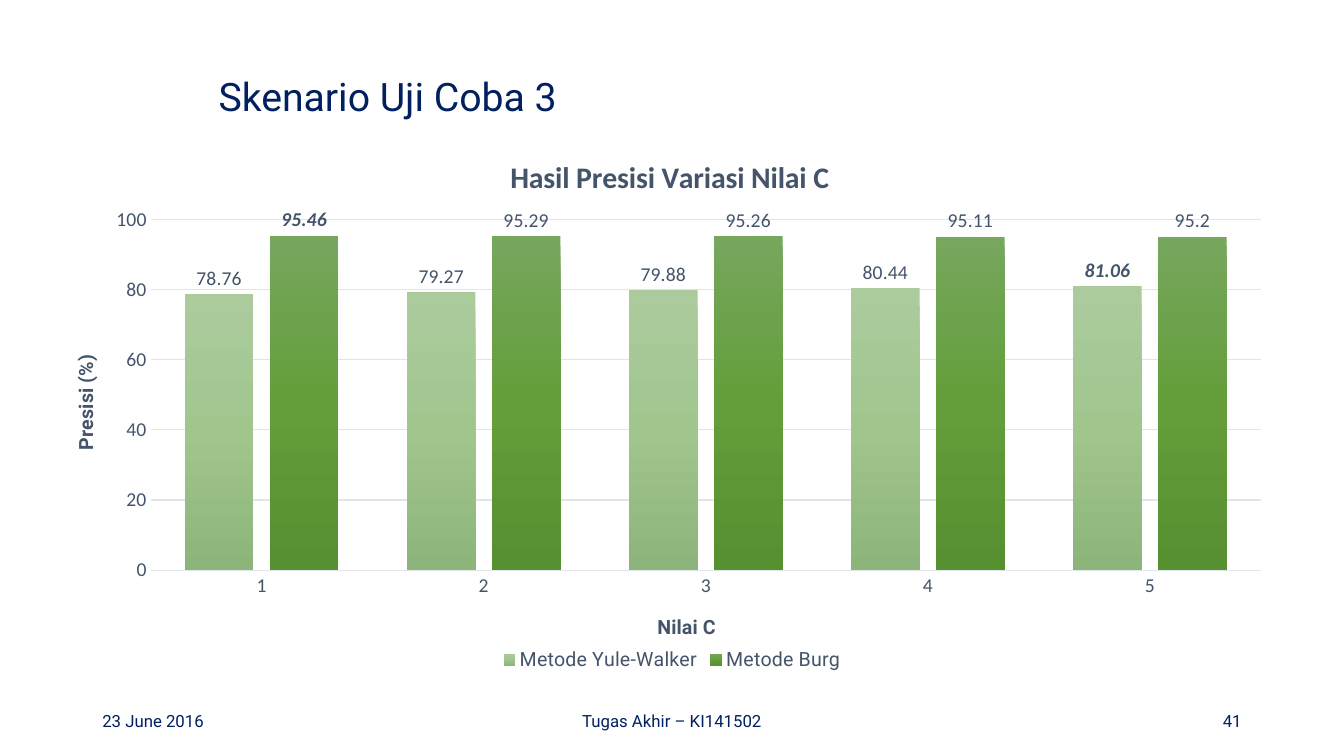
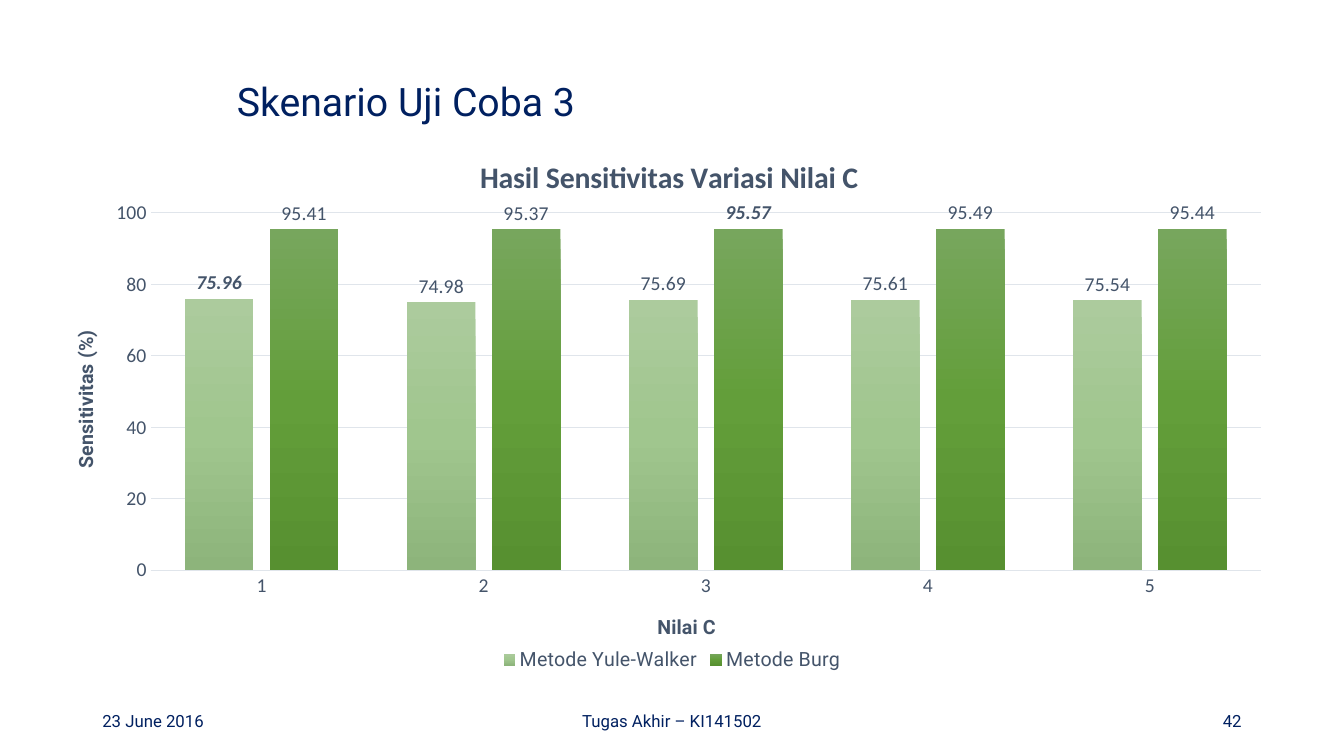
"""Build two slides comparing methods over values of C."""
from dataclasses import dataclass

import lxml.etree
import pptx
import pptx.chart.data
import pptx.dml.color
import pptx.enum.chart
import pptx.enum.text
import pptx.oxml
import pptx.oxml.ns
import pptx.util

Pt = pptx.util.Pt
RGBColor = pptx.dml.color.RGBColor
Align = pptx.enum.text.PP_ALIGN
qn = pptx.oxml.ns.qn

NAVY = RGBColor(0x00, 0x20, 0x60)
SLATE = RGBColor(0x44, 0x54, 0x6A)
GRID = RGBColor(0xE0, 0xE5, 0xEB)
BLACK = RGBColor(0x00, 0x00, 0x00)
WHITE = RGBColor(0xFF, 0xFF, 0xFF)
PALE_GREENS = (RGBColor(0xAC, 0xCB, 0x9D), RGBColor(0xA0, 0xC6, 0x8E), RGBColor(0x8D, 0xB4, 0x7B))
DEEP_GREENS = (RGBColor(0x77, 0xA6, 0x5D), RGBColor(0x63, 0x9E, 0x3A), RGBColor(0x57, 0x90, 0x30))
HEADING = {"name": "Roboto", "size": Pt(28), "color": NAVY}
FOOTER = {"name": "Roboto", "size": Pt(12), "color": NAVY}
CHART_TITLE = {"name": "Calibri", "size": Pt(21.28), "bold": True, "color": SLATE}
LABEL = {"name": "Calibri", "size": Pt(14), "color": SLATE}
BEST_LABEL = LABEL | {"bold": True, "italic": True}
LEGEND = LABEL | {"name": "Roboto"}
AXIS_TITLE = LEGEND | {"bold": True}


@dataclass(frozen=True)
class Method:
    """A measured method and the index of its best value."""

    name: str
    values: tuple[float, ...]
    best: int
    greens: tuple[RGBColor, ...]


@dataclass(frozen=True)
class Result:
    """One slide; chart positions are percentages of the chart."""

    number: int
    heading_at: tuple[float, float]
    measure: str
    title_at: tuple[float, ...]
    measure_at: tuple[float, ...]
    plot_area: tuple[float, ...]
    methods: tuple[Method, ...]


RESULTS = (
    Result(41, (149, 37), "Presisi", (36.2, 3.1), (0.1, 40), (6.9, 15.8, 91.8, 64.7), (
        Method("Metode Yule-Walker", (78.76, 79.27, 79.88, 80.44, 81.06), 4, PALE_GREENS),
        Method("Metode Burg", (95.46, 95.29, 95.26, 95.11, 95.2), 0, DEEP_GREENS),
    )),
    Result(42, (162, 41), "Sensitivitas", (33.7, 3.1), (0.1, 35.5), (6.9, 14.5, 91.8, 66), (
        Method("Metode Yule-Walker", (75.96, 74.98, 75.69, 75.61, 75.54), 0, PALE_GREENS),
        Method("Metode Burg", (95.41, 95.37, 95.57, 95.49, 95.44), 2, DEEP_GREENS),
    )),
)


def set_font(font, style: dict) -> None:
    """Apply a dict of format values to a font."""
    for attribute, value in style.items():
        if attribute == "color":
            font.color.rgb = value
        else:
            setattr(font, attribute, value)


def write(frame, text: str, style: dict, align=Align.LEFT):
    """Write one middle-anchored paragraph and return it."""
    frame.word_wrap = True
    frame.vertical_anchor = pptx.enum.text.MSO_ANCHOR.MIDDLE
    paragraph = frame.paragraphs[0]
    paragraph.alignment = align
    run = paragraph.add_run()
    run.text = text
    set_font(run.font, style)
    return paragraph


def set_layout(element, index: int, box: tuple[float, ...]) -> None:
    """Place a chart part by percentages of the chart."""
    for old in element.findall(qn("c:layout")):
        element.remove(old)
    layout = lxml.etree.Element(qn("c:layout"))
    manual = lxml.etree.SubElement(layout, qn("c:manualLayout"))
    entries = [("xMode", "edge"), ("yMode", "edge")]
    entries += [(key, f"{share / 100:.3f}") for key, share in zip("xywh", box)]
    if len(box) == 4:
        entries.insert(0, ("layoutTarget", "inner"))
    for key, value in entries:
        lxml.etree.SubElement(manual, qn(f"c:{key}")).set("val", value)
    element.insert(index, layout)


def set_title(title, text: str, style: dict, at: tuple[float, ...]) -> None:
    """Write and place a chart or axis title."""
    run = title.text_frame.paragraphs[0].add_run()
    run.text = text
    set_font(run.font, style)
    set_layout(title._element, 1, at)


def set_gradient(series, colors: tuple[RGBColor, ...]) -> None:
    """Fill columns with an evenly stepped vertical gradient."""
    step = 100000 // (len(colors) - 1)
    stops = "".join(
        f'<a:gs pos="{place * step}"><a:srgbClr val="{color}"/></a:gs>'
        for place, color in enumerate(colors)
    )
    series._element.get_or_add_spPr().append(pptx.oxml.parse_xml(
        f'<a:gradFill {pptx.oxml.ns.nsdecls("a")}><a:gsLst>{stops}</a:gsLst>'
        '<a:lin ang="5400000" scaled="0"/></a:gradFill>'
    ))


def style_series(series, method: Method) -> None:
    """Colour one method and emphasise its best value."""
    set_gradient(series, method.greens)
    outside = pptx.enum.chart.XL_LABEL_POSITION.OUTSIDE_END
    labels = series.data_labels
    labels.show_value = True
    labels.position = outside
    set_font(labels.font, LABEL)
    best = series.points[method.best].data_label
    set_font(best.font, BEST_LABEL)
    best.position = outside


def style_axes(chart, result: Result) -> None:
    """Format both axes, their titles and the gridlines."""
    titles = (
        (chart.category_axis, "Nilai C", (48.5, 87.8)),
        (chart.value_axis, f"{result.measure} (%)", result.measure_at),
    )
    for axis, text, at in titles:
        axis.major_tick_mark = axis.minor_tick_mark = pptx.enum.chart.XL_TICK_MARK.NONE
        set_font(axis.tick_labels.font, LABEL)
        set_title(axis.axis_title, text, AXIS_TITLE, at)
    scale = {"minimum_scale": 0, "maximum_scale": 100, "major_unit": 20, "has_major_gridlines": True}
    for attribute, value in scale.items():
        setattr(chart.value_axis, attribute, value)
    chart.value_axis.format.line.fill.background()
    for part in (chart.category_axis, chart.value_axis.major_gridlines):
        part.format.line.color.rgb = GRID
        part.format.line.width = Pt(0.75)


def add_result_chart(slide, result: Result) -> None:
    """Draw the column chart of a result."""
    data = pptx.chart.data.CategoryChartData()
    data.categories = [str(c) for c in range(1, 6)]
    for method in result.methods:
        data.add_series(method.name, method.values)
    chart = slide.shapes.add_chart(
        pptx.enum.chart.XL_CHART_TYPE.COLUMN_CLUSTERED,
        Pt(48), Pt(96), Pt(864), Pt(386.64), data,
    ).chart
    set_font(chart.font, {"name": "Calibri", "size": Pt(10), "color": BLACK})
    chart.has_title = True
    set_title(chart.chart_title, f"Hasil {result.measure} Variasi Nilai C", CHART_TITLE, result.title_at)
    plot = chart.plots[0]
    for attribute, value in {"gap_width": 100, "overlap": -24, "vary_by_categories": False}.items():
        setattr(plot, attribute, value)
    for series, method in zip(plot.series, result.methods):
        style_series(series, method)
    style_axes(chart, result)
    chart.has_legend = True
    chart.legend.position = pptx.enum.chart.XL_LEGEND_POSITION.BOTTOM
    chart.legend.include_in_layout = False
    set_font(chart.legend.font, LEGEND)
    set_layout(chart._chartSpace.find(".//" + qn("c:plotArea")), 0, result.plot_area)


def add_footers(slide, number: int) -> None:
    """Write the date, the course and the slide number."""
    footers = (
        (66, 216, "23 June 2016", Align.LEFT),
        (318, 324, "Tugas Akhir – KI141502", Align.CENTER),
        (678, 216, str(number), Align.RIGHT),
    )
    for left, width, text, align in footers:
        footer = slide.shapes.add_textbox(Pt(left), Pt(500.5), Pt(width), Pt(28.75))
        write(footer.text_frame, text, FOOTER, align)


def add_result_slide(deck, result: Result) -> None:
    """Add one complete result slide."""
    slide = deck.slides.add_slide(deck.slide_layouts[5])
    slide.background.fill.solid()
    slide.background.fill.fore_color.rgb = WHITE
    heading = slide.shapes.title
    left, top = result.heading_at
    for attribute, length in {"left": left, "top": top, "width": 864, "height": 67}.items():
        setattr(heading, attribute, Pt(length))
    write(heading.text_frame, "Skenario Uji Coba 3", HEADING).line_spacing = 0.9
    add_result_chart(slide, result)
    add_footers(slide, result.number)


def main() -> None:
    """Build and save the presentation."""
    deck = pptx.Presentation()
    deck.slide_width, deck.slide_height = Pt(960), Pt(540)
    for result in RESULTS:
        add_result_slide(deck, result)
    deck.save("out.pptx")


if __name__ == "__main__":
    main()
